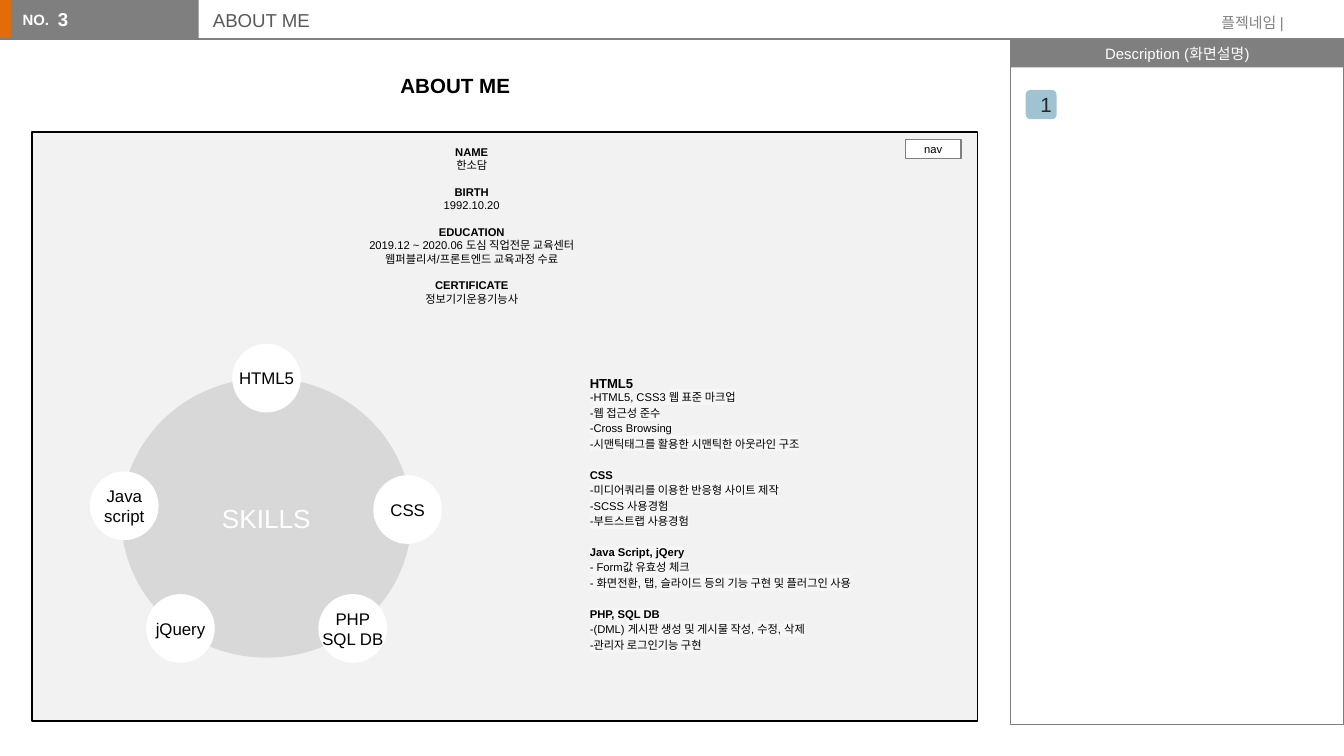
from lxml.etree import SubElement
from pptx import Presentation
from pptx.dml.color import RGBColor
from pptx.enum.shapes import MSO_CONNECTOR, MSO_SHAPE
from pptx.enum.text import MSO_ANCHOR, PP_ALIGN
from pptx.oxml.ns import qn
from pptx.util import Pt

WHITE = RGBColor(0xFF, 0xFF, 0xFF)
BLACK = RGBColor(0, 0, 0)
GRAY = RGBColor(0x7F, 0x7F, 0x7F)
DARK_GRAY = RGBColor(0x59, 0x59, 0x59)
CHARCOAL = RGBColor(0x26, 0x26, 0x26)
PANEL = RGBColor(0xF2, 0xF2, 0xF2)
DISC = RGBColor(0xD8, 0xD8, 0xD8)
ORANGE = RGBColor(0xE3, 0x6C, 0x09)
BLUE = RGBColor(0xA0, 0xC3, 0xD2)
HIGHLIGHT = "F6F6F6"
LEFT, CENTER, RIGHT = PP_ALIGN.LEFT, PP_ALIGN.CENTER, PP_ALIGN.RIGHT
TOP, MIDDLE = MSO_ANCHOR.TOP, MSO_ANCHOR.MIDDLE

presentation = Presentation()
presentation.slide_width = Pt(720)
presentation.slide_height = Pt(405)
slide = presentation.slides.add_slide(presentation.slide_layouts[6])


def add_shape(kind, left, top, width, height, fill=None, line=None):
    """Add a preset shape, or a text box when kind is None."""
    place = Pt(left), Pt(top), Pt(width), Pt(height)
    if kind is None:
        return slide.shapes.add_textbox(*place)
    shape = slide.shapes.add_shape(kind, *place)
    shape.shadow.inherit = False
    if fill is None:
        shape.fill.background()
    else:
        shape.fill.solid()
        shape.fill.fore_color.rgb = fill
    if line is None:
        shape.line.fill.background()
    else:
        shape.line.color.rgb = line
        shape.line.width = Pt(0.75)
    return shape


def write(shape, *lines, size=6, color=BLACK, bold=False, align=LEFT, anchor=TOP,
          inset=(7.2, 3.6), spacing=None, before=0, highlight=None):
    """Append lines as paragraphs; before is the gap above the first line."""
    frame = shape.text_frame
    frame.word_wrap = True
    frame.vertical_anchor = anchor
    frame.margin_left = frame.margin_right = Pt(inset[0])
    frame.margin_top = frame.margin_bottom = Pt(inset[1])
    for index, line in enumerate(lines):
        paragraph = frame.paragraphs[0]
        if paragraph.runs:
            paragraph = frame.add_paragraph()
        paragraph.alignment = align
        paragraph.line_spacing = spacing
        paragraph.space_before = Pt(0 if index else before)
        run = paragraph.add_run()
        run.text = line
        run.font.size = Pt(size)
        run.font.bold = bold
        run.font.color.rgb = color
        if highlight:
            marker = SubElement(run.font._element, qn("a:highlight"))
            SubElement(marker, qn("a:srgbClr")).set("val", highlight)
        run.font.name = "Arial"


# Header bar
add_shape(MSO_SHAPE.RECTANGLE, -0.5, 0, 8.5, 21, ORANGE)
add_shape(MSO_SHAPE.RECTANGLE, 5.8, 0, 100.6, 21, GRAY)
write(add_shape(None, 5, 2.2, 29.5, 17.3), "NO.", size=8, color=WHITE, bold=True)
header_line = slide.shapes.add_connector(MSO_CONNECTOR.STRAIGHT, 0, Pt(21), Pt(551.5), Pt(21))
header_line.line.color.rgb = GRAY
header_line.line.width = Pt(0.75)
SubElement(header_line._element.spPr, qn("a:effectLst"))
write(add_shape(None, 643, 3.6, 51.8, 17.3), "플젝네임 |", size=8, color=GRAY, align=RIGHT)
write(add_shape(None, 107, -0.5, 404, 23), "ABOUT ME", size=10, color=DARK_GRAY,
      anchor=MIDDLE, inset=(7.2, 7.2))
write(add_shape(None, 31, 0.7, 79, 22.3), "3", size=10, color=WHITE, bold=True, inset=(0, 3.6))

# Description column
write(add_shape(MSO_SHAPE.RECTANGLE, 541.4, 21, 178.6, 15.2, GRAY), "Description (화면설명)",
      size=8, color=WHITE, align=CENTER, anchor=MIDDLE, inset=(6.5, 2.9))
add_shape(MSO_SHAPE.RECTANGLE, 541.4, 21, 178.6, 367.2, line=GRAY)
write(add_shape(MSO_SHAPE.ROUNDED_RECTANGLE, 549.5, 48.2, 16.6, 15.7, BLUE), "1",
      size=11, color=CHARCOAL, align=CENTER, anchor=MIDDLE)

# Page mock-up
add_shape(MSO_SHAPE.RECTANGLE, 17.2, 70.7, 506.6, 315.6, PANEL, BLACK)
write(add_shape(None, 207.4, 35.3, 90, 23), "ABOUT ME", size=11, bold=True)
write(add_shape(MSO_SHAPE.RECTANGLE, 485, 74.8, 29.8, 10.2, WHITE, GRAY), "nav",
      align=CENTER, anchor=MIDDLE)

# Profile
PROFILE = [
    ("NAME", ["한소담"]),
    ("BIRTH", ["1992.10.20"]),
    ("EDUCATION", ["2019.12 ~ 2020.06 도심 직업전문 교육센터", "웹퍼블리셔/프론트엔드 교육과정 수료"]),
    ("CERTIFICATE", ["정보기기운용기능사"]),
]
profile = add_shape(None, 165.6, 70.6, 174.2, 109.4)
for index, (heading, lines) in enumerate(PROFILE):
    write(profile, heading, bold=True, align=CENTER, inset=(7.2, 7.2), before=7 if index else 0)
    write(profile, *lines, align=CENTER, inset=(7.2, 7.2))

# Skills wheel: circle centres and labels
write(add_shape(MSO_SHAPE.OVAL, 65, 202.5, 155.5, 149.8, DISC), "SKILLS",
      size=14, color=WHITE, align=CENTER, anchor=MIDDLE)
CIRCLE, LABEL = 36.8, 48
WHEEL = [
    (142.8, 202.6, ["HTML5"]),
    (218.4, 273, ["CSS"]),
    (189, 336.7, ["PHP", "SQL DB"]),
    (96.7, 336.7, ["jQuery"]),
    (66.6, 271, ["Java", "script"]),
]
for x, y, lines in WHEEL:
    add_shape(MSO_SHAPE.OVAL, x - CIRCLE / 2, y - CIRCLE / 2, CIRCLE, CIRCLE, WHITE)
    label = add_shape(None, x - LABEL / 2, y - LABEL / 2, LABEL, LABEL)
    write(label, *lines, size=9, align=CENTER, anchor=MIDDLE, inset=(7.2, 7.2))

# Skill details
DETAILS = [
    ("HTML5", ["-HTML5, CSS3 웹 표준 마크업", "-웹 접근성 준수", "-Cross Browsing",
               "-시맨틱태그를 활용한 시맨틱한 아웃라인 구조"]),
    ("CSS", ["-미디어쿼리를 이용한 반응형 사이트 제작", "-SCSS 사용경험", "-부트스트랩 사용경험"]),
    ("Java Script, jQery", ["- Form값 유효성 체크",
                            "- 화면전환, 탭, 슬라이드 등의 기능 구현 및 플러그인 사용"]),
    ("PHP, SQL DB", ["-(DML) 게시판 생성 및 게시물 작성, 수정, 삭제", "-관리자 로그인기능 구현"]),
]
details = add_shape(None, 308.9, 193.7, 179.3, 174.2)
for index, (heading, lines) in enumerate(DETAILS):
    first = index == 0
    write(details, heading, size=7 if first else 6, bold=True, inset=(7.2, 7.2),
          spacing=1 if first else 1.15, before=0 if first else 8.3,
          highlight=None if first else HIGHLIGHT)
    write(details, lines[0], inset=(7.2, 7.2), spacing=1 if first else 1.15, highlight=HIGHLIGHT)
    write(details, *lines[1:], inset=(7.2, 7.2), spacing=1.15, highlight=HIGHLIGHT)

presentation.save("out.pptx")
